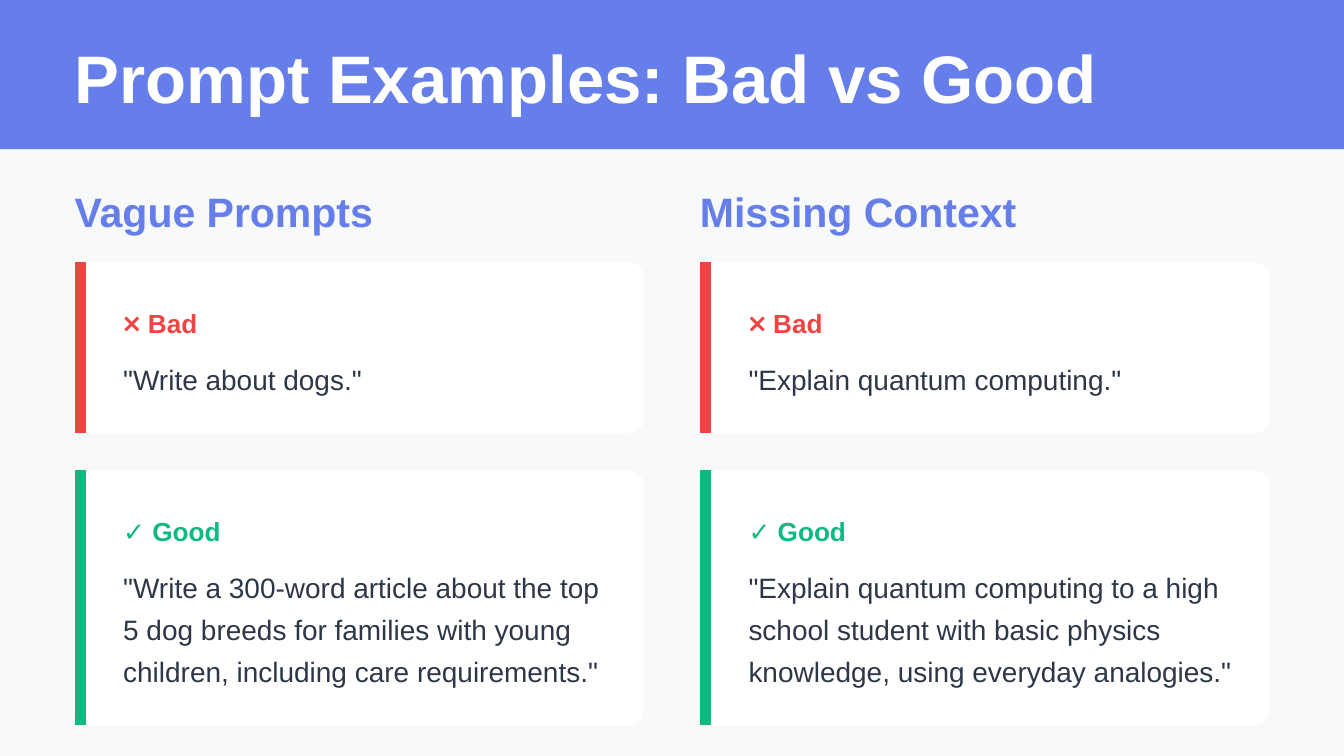
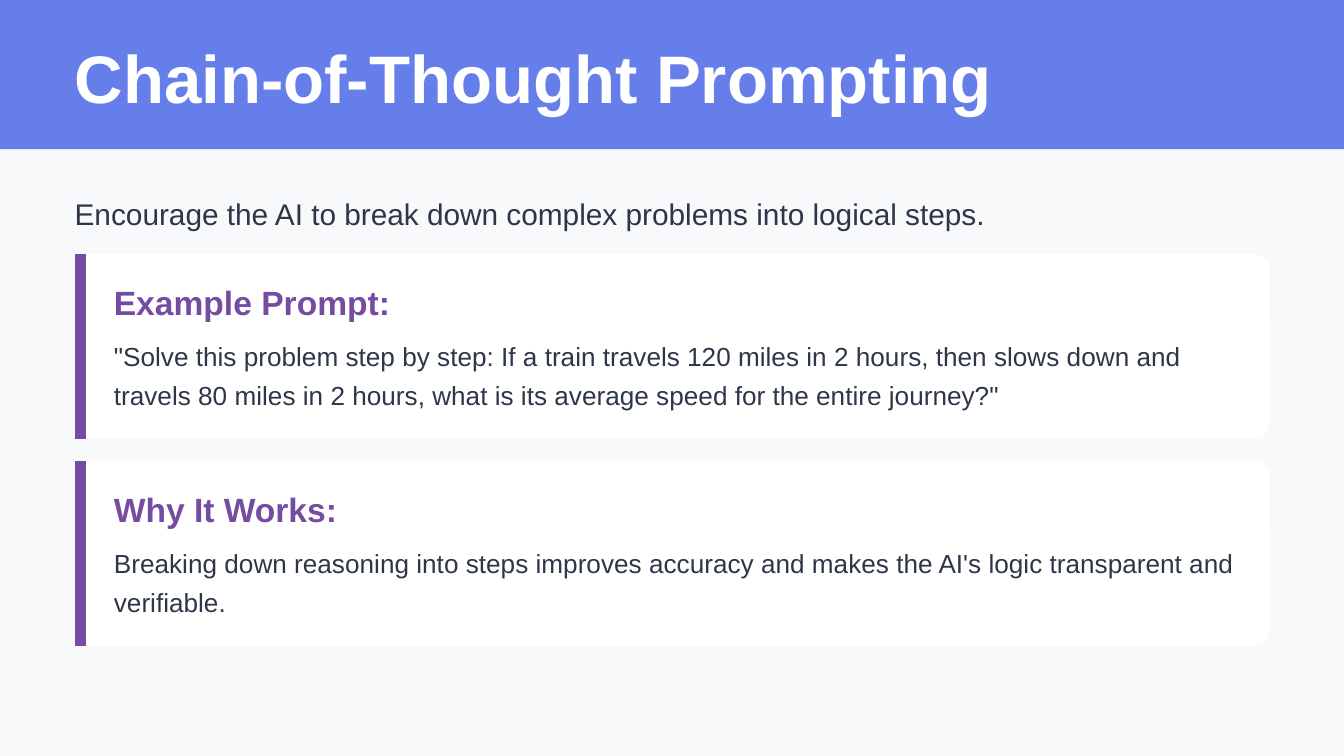
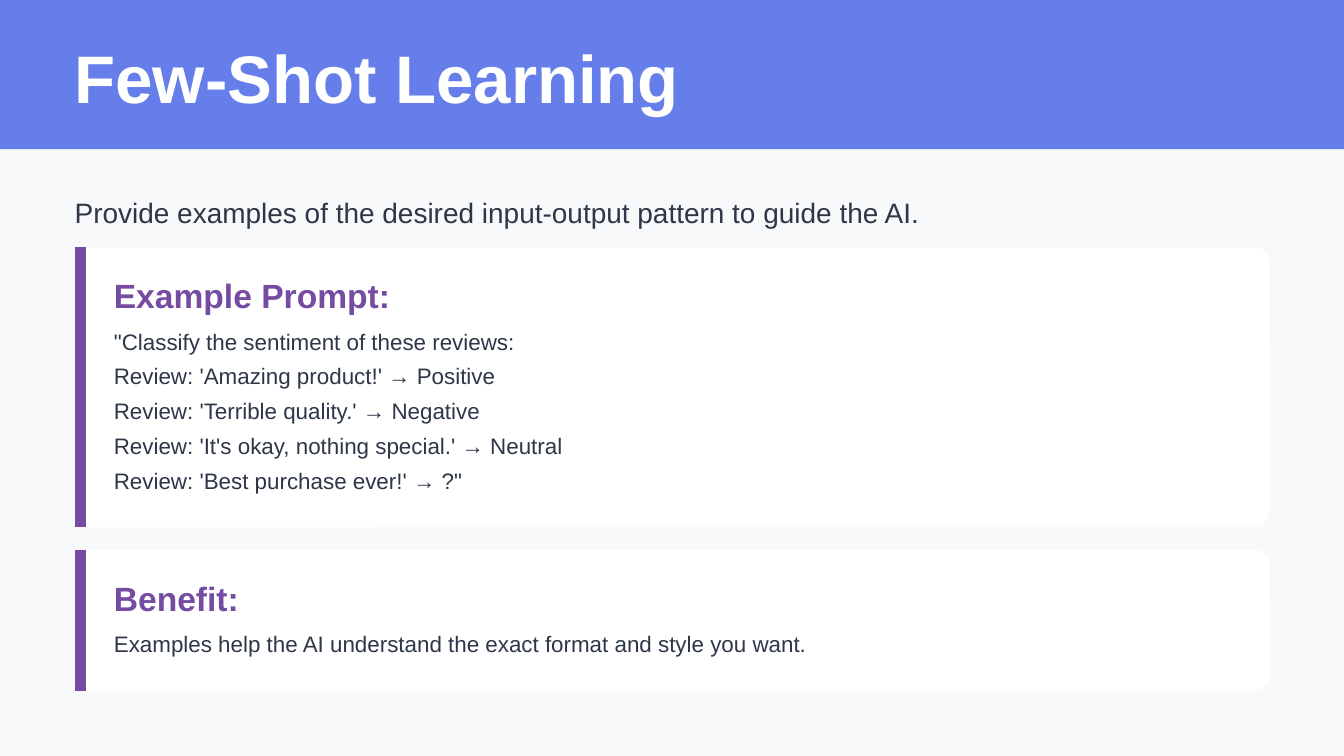
from dataclasses import dataclass

from lxml import etree
from pptx import Presentation
from pptx.dml.color import RGBColor
from pptx.enum.shapes import MSO_CONNECTOR, MSO_SHAPE
from pptx.oxml.ns import qn
from pptx.util import Pt

RECTANGLE = MSO_SHAPE.RECTANGLE
ROUNDED = MSO_SHAPE.ROUNDED_RECTANGLE
STRAIGHT = MSO_CONNECTOR.STRAIGHT

# Shared look, lengths in points
FONT = "Arial"
BLUE, PURPLE, RED, GREEN = "667EEA", "764BA2", "EF4444", "10B981"
INK, WHITE, PAPER = "2D3748", "FFFFFF", "F8F9FA"
PAGE_WIDTH, PAGE_HEIGHT = 720, 405
MARGIN = 40
BAND_HEIGHT = 80
CONTENT_TOP = 100
FULL_WIDTH = PAGE_WIDTH - 2 * MARGIN
COLUMN_WIDTH, COLUMN_GAP = 305, 30
CORNER_RADIUS = 8
ACCENT_WIDTH = 6
TEXT_SLACK = 1.02  # text boxes run slightly wider than their column


@dataclass(frozen=True)
class TextStyle:
    size: float
    height: float  # height of one line
    color: str = INK
    bold: bool = False
    exact: bool = True  # line spacing fixed to the line height
    after: float = 0


@dataclass(frozen=True)
class CardStyle:
    label: TextStyle
    body: TextStyle
    inset_left: float
    inset_right: float
    padding: float
    gap: float  # space below the card


@dataclass(frozen=True)
class Card:
    label: str
    color: str
    paragraphs: tuple[str, ...]
    rows: int = 1  # lines that each paragraph fills


TITLE = TextStyle(36, 41, WHITE, bold=True, exact=False)
COLUMN_HEADING = TextStyle(22, 25.5, BLUE, bold=True, exact=False, after=15)
CARD_HEADING = TextStyle(18, 21, PURPLE, bold=True, exact=False, after=6)
VERDICT = TextStyle(14, 21, bold=True, after=8)
LARGE_INTRO = TextStyle(16, 24, after=12)
INTRO = TextStyle(15, 22.5, after=10)
QUOTE = TextStyle(15, 22.5)
EXPLANATION = TextStyle(14, 21)
LISTING = TextStyle(12, 15.6, after=3)

VERDICT_CARD = CardStyle(VERDICT, QUOTE, 26, 15, 20, 20)
EXPLANATION_CARD = CardStyle(CARD_HEADING, EXPLANATION, 21, 3, 15, 12)
LISTING_CARD = CardStyle(CARD_HEADING, LISTING, 21, 3, 15, 12)


def rgb(color: str) -> RGBColor:
    return RGBColor.from_string(color)


def add_box(page, kind, left: float, top: float, width: float, height: float, color: str):
    box = page.shapes.add_shape(kind, Pt(left), Pt(top), Pt(width), Pt(height))
    box.shadow.inherit = False
    box.fill.solid()
    box.fill.fore_color.rgb = rgb(color)
    box.line.fill.background()
    return box


def add_text(page, text: str, left: float, top: float, width: float,
             style: TextStyle, color: str = "", rows: int = 1) -> float:
    """Draw one paragraph and return the top of whatever comes below it."""
    height = rows * style.height
    frame = page.shapes.add_textbox(Pt(left), Pt(top), Pt(width), Pt(height)).text_frame
    frame.word_wrap = True
    frame.margin_left = frame.margin_right = frame.margin_top = frame.margin_bottom = 0
    frame.text = text
    para = frame.paragraphs[0]
    para.space_after = Pt(style.after)
    if style.exact:
        para.line_spacing = Pt(style.height)
    font = para.runs[0].font
    font.name, font.size, font.bold = FONT, Pt(style.size), style.bold
    font.color.rgb = rgb(color or style.color)
    return top + height + style.after


def add_accent(page, left: float, top: float, height: float, color: str) -> None:
    center = Pt(left + ACCENT_WIDTH / 2)
    accent = page.shapes.add_connector(STRAIGHT, center, Pt(top), center, Pt(top + height))
    accent.line.width = Pt(ACCENT_WIDTH)
    accent.line.color.rgb = rgb(color)
    etree.SubElement(accent._element.spPr, qn("a:effectLst"))


def add_cards(page, cards: tuple[Card, ...], left: float, top: float,
              width: float, style: CardStyle) -> None:
    """Stack cards downwards, each as tall as its text."""
    for card in cards:
        body_height = len(card.paragraphs) * (card.rows * style.body.height + style.body.after)
        height = 2 * style.padding + style.label.height + style.label.after + body_height
        panel = add_box(page, ROUNDED, left, top, width, height, WHITE)
        panel.adjustments[0] = CORNER_RADIUS / height
        add_accent(page, left, top, height, card.color)

        text_left = left + style.inset_left
        text_width = width - style.inset_left - style.inset_right
        cursor = add_text(page, card.label, text_left, top + style.padding,
                          text_width, style.label, card.color)
        for paragraph in card.paragraphs:
            cursor = add_text(page, paragraph, text_left, cursor, text_width,
                              style.body, rows=card.rows)
        top += height + style.gap


def add_page(deck, title: str, title_width: float):
    """Add a page with its background, title band and title."""
    page = deck.slides.add_slide(deck.slide_layouts[6])
    page.background.fill.solid()
    page.background.fill.fore_color.rgb = rgb(PAPER)
    add_box(page, RECTANGLE, 0, 0, PAGE_WIDTH, BAND_HEIGHT, BLUE)
    add_text(page, title, MARGIN, (BAND_HEIGHT - TITLE.height) / 2, title_width, TITLE)
    return page


def add_section(page, heading: str, heading_style: TextStyle, cards: tuple[Card, ...],
                card_style: CardStyle, left: float = MARGIN, width: float = FULL_WIDTH) -> None:
    """Add a heading or introduction with its cards below."""
    cards_top = add_text(page, heading, left, CONTENT_TOP, width * TEXT_SLACK, heading_style)
    add_cards(page, cards, left, cards_top, width, card_style)


# Page contents
COMPARISONS = (
    ("Vague Prompts", '"Write about dogs."',
     '"Write a 300-word article about the top 5 dog breeds for families with young '
     'children, including care requirements."'),
    ("Missing Context", '"Explain quantum computing."',
     '"Explain quantum computing to a high school student with basic physics '
     'knowledge, using everyday analogies."'),
)
REASONING_CARDS = (
    Card("Example Prompt:", PURPLE, (
        '"Solve this problem step by step: If a train travels 120 miles in 2 hours, then '
        'slows down and travels 80 miles in 2 hours, what is its average speed for the '
        'entire journey?"',), rows=2),
    Card("Why It Works:", PURPLE, (
        "Breaking down reasoning into steps improves accuracy and makes the AI's logic "
        "transparent and verifiable.",), rows=2),
)
FEW_SHOT_CARDS = (
    Card("Example Prompt:", PURPLE, (
        '"Classify the sentiment of these reviews:',
        "Review: 'Amazing product!' → Positive",
        "Review: 'Terrible quality.' → Negative",
        "Review: 'It's okay, nothing special.' → Neutral",
        "Review: 'Best purchase ever!' → ?\"",
    )),
    Card("Benefit:", PURPLE, (
        "Examples help the AI understand the exact format and style you want.",)),
)


def main() -> None:
    deck = Presentation()
    deck.slide_width, deck.slide_height = Pt(PAGE_WIDTH), Pt(PAGE_HEIGHT)

    # Bad and good prompts in two columns
    page = add_page(deck, "Prompt Examples: Bad vs Good", 560)
    for column, (heading, bad, good) in enumerate(COMPARISONS):
        cards = (Card("❌ Bad", RED, (bad,)), Card("✓ Good", GREEN, (good,), rows=3))
        left = MARGIN + column * (COLUMN_WIDTH + COLUMN_GAP)
        add_section(page, heading, COLUMN_HEADING, cards, VERDICT_CARD, left, COLUMN_WIDTH)

    # Chain of thought
    page = add_page(deck, "Chain-of-Thought Prompting", 502)
    add_section(page, "Encourage the AI to break down complex problems into logical steps.",
                LARGE_INTRO, REASONING_CARDS, EXPLANATION_CARD)

    # Few-shot learning
    page = add_page(deck, "Few-Shot Learning", 330)
    add_section(page, "Provide examples of the desired input-output pattern to guide the AI.",
                INTRO, FEW_SHOT_CARDS, LISTING_CARD)

    deck.save("out.pptx")


if __name__ == "__main__":
    main()
